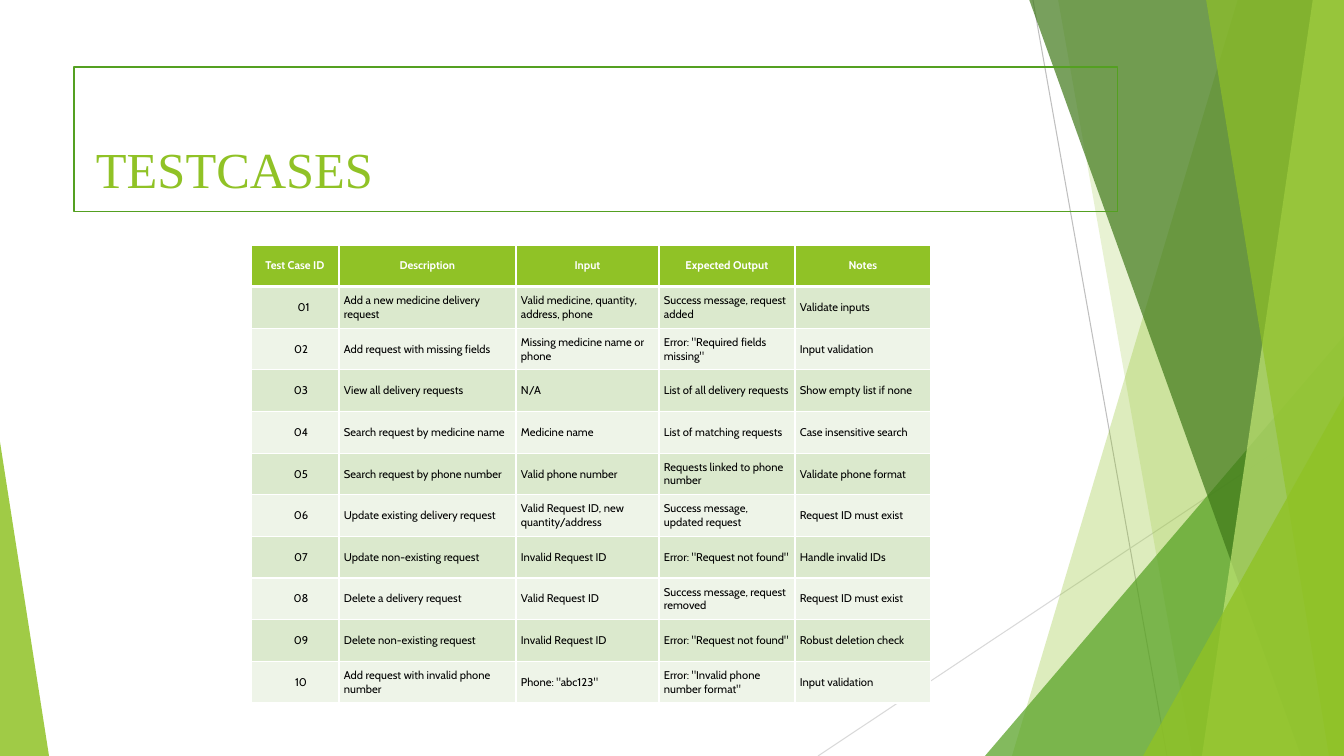
from dataclasses import dataclass

from lxml.etree import SubElement
from pptx import Presentation
from pptx.dml.color import RGBColor
from pptx.enum.shapes import MSO_CONNECTOR, MSO_SHAPE
from pptx.enum.text import MSO_ANCHOR, MSO_AUTO_SIZE, PP_ALIGN
from pptx.oxml.ns import qn
from pptx.util import Emu, Pt

SLIDE_WIDTH, SLIDE_HEIGHT = 1344, 756
EMU_PER_PX = 12192000 / SLIDE_WIDTH

WHITE = RGBColor(0xFF, 0xFF, 0xFF)
BLACK = RGBColor(0x00, 0x00, 0x00)
LIME = RGBColor(0x90, 0xC2, 0x26)
GREEN = RGBColor(0x54, 0xA0, 0x21)
FOREST = RGBColor(0x3F, 0x78, 0x19)
PALE_LIME = RGBColor(0xC0, 0xE4, 0x74)
MID_GREY = RGBColor(0xBF, 0xBF, 0xBF)
LIGHT_GREY = RGBColor(0xD9, 0xD9, 0xD9)
BANDS = (RGBColor(0xEE, 0xF4, 0xE8), RGBColor(0xDB, 0xE9, 0xCD))


@dataclass(frozen=True)
class Ray:
    start: tuple[int, int]
    end: tuple[int, int]
    color: RGBColor


@dataclass(frozen=True)
class Blade:
    """A full-height panel that meets the right edge of the slide."""
    top_left: int
    bottom_left: int
    color: RGBColor
    opacity: int


@dataclass(frozen=True)
class Corner:
    """A triangle on the bottom edge, with its apex at a share of its width."""
    left: int
    top: int
    width: int
    apex: float
    color: RGBColor
    opacity: int


DECORATION = (
    Ray((1033, 0), (1167, 756), MID_GREY),
    Ray((1344, 406), (818, 756), LIGHT_GREY),
    Blade(1238, 1012, LIME, 30),
    Blade(1058, 1192, LIME, 20),
    Corner(985, 336, 359, 1, GREEN, 72),
    Blade(1029, 1301, FOREST, 70),
    Blade(1313, 1202, PALE_LIME, 70),
    Blade(1206, 1329, LIME, 65),
    Corner(1143, 396, 201, 1, LIME, 80),
    Corner(0, 442, 49, 0, LIME, 85),
)

COLUMN_WIDTHS = (88, 177, 143, 136, 136)
TABLE_LEFT, TABLE_TOP, TABLE_HEIGHT = 251, 245, 458
TEST_CASES = (
    ("Test Case ID", "Description", "Input", "Expected Output", "Notes"),
    ("01", "Add a new medicine delivery request", "Valid medicine, quantity, address, phone",
     "Success message, request added", "Validate inputs"),
    ("02", "Add request with missing fields", "Missing medicine name or phone",
     'Error: "Required fields missing"', "Input validation"),
    ("03", "View all delivery requests", "N/A",
     "List of all delivery requests", "Show empty list if none"),
    ("04", "Search request by medicine name", "Medicine name",
     "List of matching requests", "Case insensitive search"),
    ("05", "Search request by phone number", "Valid phone number",
     "Requests linked to phone number", "Validate phone format"),
    ("06", "Update existing delivery request", "Valid Request ID, new quantity/address",
     "Success message, updated request", "Request ID must exist"),
    ("07", "Update non-existing request", "Invalid Request ID",
     'Error: "Request not found"', "Handle invalid IDs"),
    ("08", "Delete a delivery request", "Valid Request ID",
     "Success message, request removed", "Request ID must exist"),
    ("09", "Delete non-existing request", "Invalid Request ID",
     'Error: "Request not found"', "Robust deletion check"),
    ("10", "Add request with invalid phone number", 'Phone: "abc123"',
     'Error: "Invalid phone number format"', "Input validation"),
)


def px(length: float) -> Emu:
    return Emu(round(length * EMU_PER_PX))


def apply_format(target, **values) -> None:
    for attribute, value in values.items():
        setattr(target, attribute, value)


def fill_translucent(shape, color: RGBColor, opacity: int) -> None:
    shape.shadow.inherit = False
    shape.line.fill.background()
    shape.fill.solid()
    shape.fill.fore_color.rgb = color
    color_node = shape._element.spPr.find(qn("a:solidFill"))[0]
    SubElement(color_node, qn("a:alpha"), val=str(opacity * 1000))


def draw_decoration(shapes, part: Ray | Blade | Corner) -> None:
    match part:
        case Ray(start, end, color):
            ray = shapes.add_connector(MSO_CONNECTOR.STRAIGHT, *map(px, start + end))
            ray.line.color.rgb = color
            ray.line.width = Pt(0.75)
            SubElement(ray._element.spPr, qn("a:effectLst"))
        case Blade(top_left, bottom_left, color, opacity):
            outline = shapes.build_freeform(top_left, -1, scale=EMU_PER_PX)
            outline.add_line_segments([(SLIDE_WIDTH, -1), (SLIDE_WIDTH, SLIDE_HEIGHT),
                                       (bottom_left, SLIDE_HEIGHT)])
            fill_translucent(outline.convert_to_shape(), color, opacity)
        case Corner(left, top, width, apex, color, opacity):
            corner = shapes.add_shape(MSO_SHAPE.ISOSCELES_TRIANGLE, px(left), px(top),
                                      px(width), px(SLIDE_HEIGHT - top))
            corner.adjustments[0] = apex
            fill_translucent(corner, color, opacity)


def place_title(shapes) -> None:
    title = shapes.title
    shapes._spTree.append(title._element)
    apply_format(title, left=px(74), top=px(67), width=px(1044), height=px(145))
    title.line.color.rgb = GREEN
    title.line.width = Pt(0.75)
    frame = title.text_frame
    apply_format(frame, text="TESTCASES", auto_size=MSO_AUTO_SIZE.NONE, word_wrap=True,
                 vertical_anchor=MSO_ANCHOR.TOP, margin_left=px(22), margin_top=px(11))
    heading = frame.paragraphs[0]
    apply_format(heading, alignment=PP_ALIGN.LEFT, line_spacing=2.0)
    apply_format(heading.font, name="Times New Roman", size=Pt(36))
    heading.font.color.rgb = LIME


def draw_borders(cell, row: int) -> None:
    """Rule the cell in white, thicker between the header and the first case."""
    properties = cell._tc.get_or_add_tcPr()
    thick_edge = {0: "lnB", 1: "lnT"}.get(row)
    for position, edge in enumerate(("lnL", "lnR", "lnT", "lnB")):
        width = Pt(3 if edge == thick_edge else 1)
        border = properties.makeelement(qn(f"a:{edge}"), {"w": str(width)})
        SubElement(SubElement(border, qn("a:solidFill")), qn("a:srgbClr"), val=str(WHITE))
        properties.insert(position, border)


def write_cell(cell, text: str, row: int, column: int) -> None:
    is_header = row == 0
    is_case_id = column == 0 and not is_header
    id_indent = (17 if row == 1 else 12) if is_case_id else 0
    apply_format(cell, text=text, vertical_anchor=MSO_ANCHOR.MIDDLE,
                 margin_left=px(5 + id_indent), margin_right=px(5),
                 margin_top=px(2), margin_bottom=px(2))
    cell.fill.solid()
    cell.fill.fore_color.rgb = LIME if is_header else BANDS[row % 2]
    paragraph = cell.text_frame.paragraphs[0]
    paragraph.alignment = PP_ALIGN.CENTER if is_header or is_case_id else PP_ALIGN.LEFT
    apply_format(paragraph.font, name="Cabin", size=Pt(8), bold=is_header)
    paragraph.font.color.rgb = WHITE if is_header else BLACK
    draw_borders(cell, row)


def draw_test_cases(shapes) -> None:
    table = shapes.add_table(len(TEST_CASES), len(COLUMN_WIDTHS), px(TABLE_LEFT), px(TABLE_TOP),
                             px(sum(COLUMN_WIDTHS)), px(TABLE_HEIGHT)).table
    for column, width in zip(table.columns, COLUMN_WIDTHS):
        column.width = px(width)
    for row, texts in enumerate(TEST_CASES):
        for column, text in enumerate(texts):
            write_cell(table.cell(row, column), text, row, column)


def main() -> None:
    deck = Presentation()
    apply_format(deck, slide_width=px(SLIDE_WIDTH), slide_height=px(SLIDE_HEIGHT))
    shapes = deck.slides.add_slide(deck.slide_layouts[5]).shapes
    for part in DECORATION:
        draw_decoration(shapes, part)
    place_title(shapes)
    draw_test_cases(shapes)
    deck.save("out.pptx")


if __name__ == "__main__":
    main()
